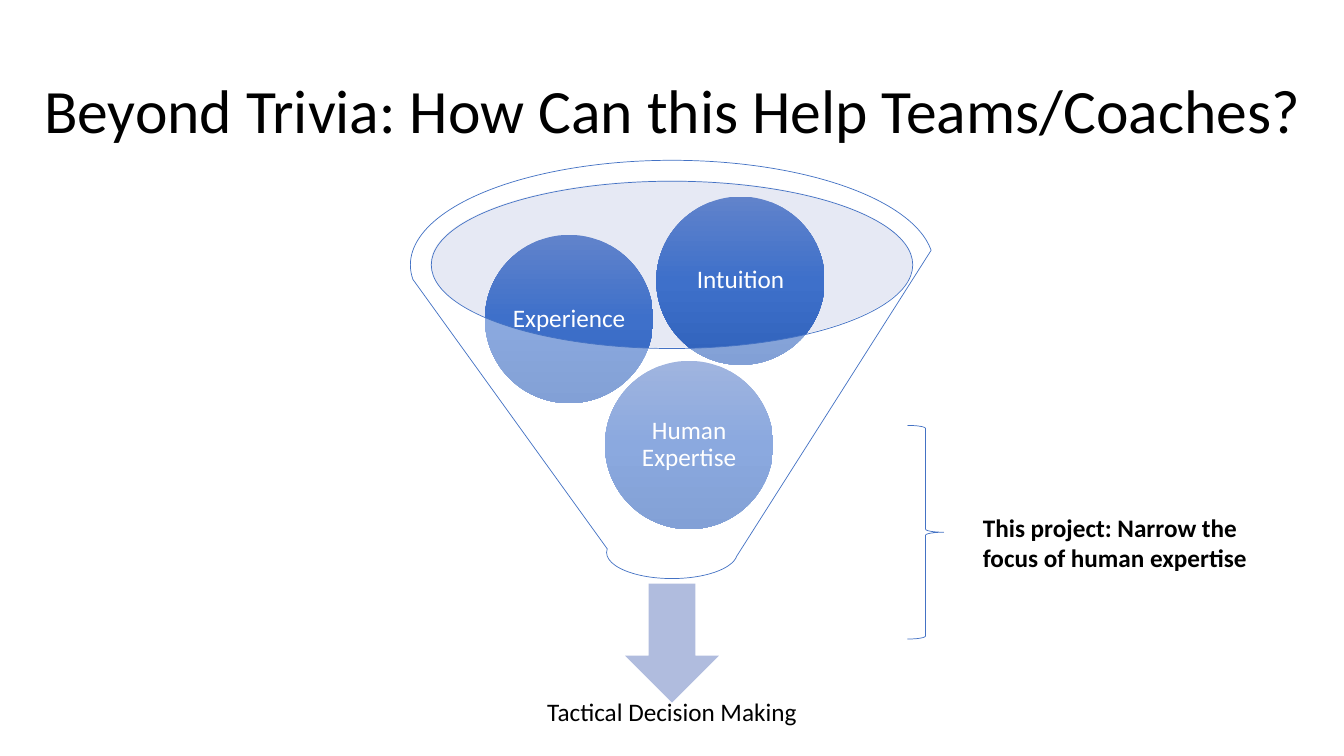
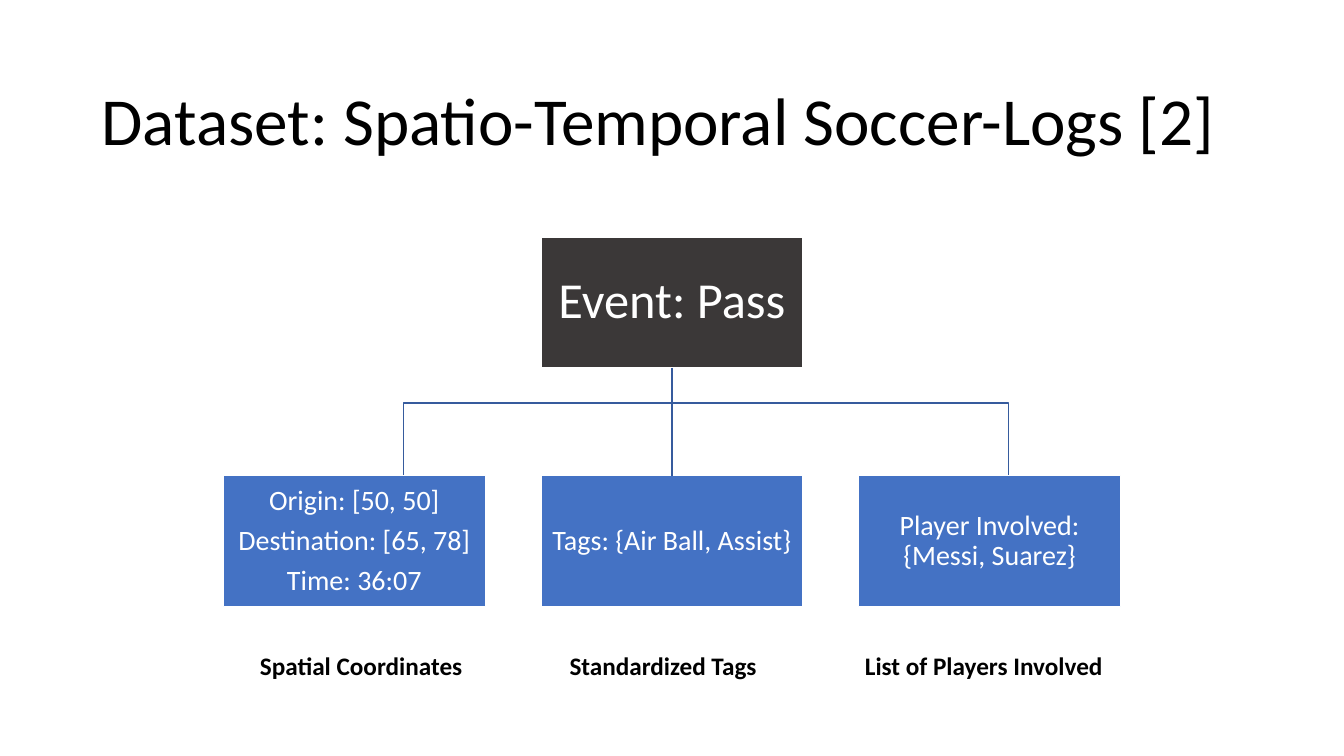
from copy import deepcopy
from dataclasses import dataclass
from typing import NamedTuple, Optional

from lxml import etree
from pptx import Presentation, slide as sl, util as u
from pptx.dml import color as dml
from pptx.enum import shapes, text
from pptx.oxml import ns

SLIDE_WIDTH, SLIDE_HEIGHT = 13.33, 7.5
FONT = "Calibri"
BLACK, WHITE = "000000", "FFFFFF"
BLUE, CHARCOAL, TREE_BLUE = "4472C4", "3B3838", "365B9D"
RIM, ARROW = "C1C9E4", "B0BCDE"
BALL_STOPS = ((0, "6183CB"), (0.5, "3E70CA"), (1, "3062BB"))
PRESET = shapes.MSO_SHAPE
MIDDLE, TOP = text.MSO_ANCHOR.MIDDLE, text.MSO_ANCHOR.TOP
LEFT, CENTER = text.PP_ALIGN.LEFT, text.PP_ALIGN.CENTER


class Box(NamedTuple):
    left: float
    top: float
    width: float
    height: float

    def inches(self) -> list:
        return [u.Inches(length) for length in self]


@dataclass(frozen=True)
class TextStyle:
    size: int
    color: str = BLACK
    bold: bool = False
    align: text.PP_ALIGN = LEFT
    anchor: text.MSO_ANCHOR = MIDDLE
    line_spacing: float = 0.9
    after: float = 0
    inset: Optional[float] = None
    grow: bool = False


@dataclass(frozen=True)
class Ball:
    caption: str
    left: float
    top: float


@dataclass(frozen=True)
class Branch:
    lines: tuple
    caption: str
    caption_left: float
    caption_width: float


CAPTION = TextStyle(18, bold=True, anchor=TOP, line_spacing=1, grow=True)
BALL_TEXT = TextStyle(18, WHITE, align=CENTER, inset=0)
OUTCOME = TextStyle(18, align=CENTER, inset=0.14)
EVENT = TextStyle(36, WHITE, align=CENTER, inset=0.03)
BRANCH = TextStyle(20, WHITE, align=CENTER, after=7, inset=0.01)

BALLS = (
    Ball("Human Expertise", 6, 3.58),
    Ball("Experience", 4.81, 2.33),
    Ball("Intuition", 6.51, 1.95),
)
BRANCHES = (
    Branch(("Origin: [50, 50]", "Destination: [65, 78]", "Time: 36:07"),
           "Spatial Coordinates", 2.48, 2.22),
    Branch(("Tags: {Air Ball, Assist}",), "Standardized Tags", 5.55, 2.22),
    Branch(("Player Involved: {Messi, Suarez}",),
           "List of Players Involved", 8.48, 2.63),
)


def rgb(value: str) -> dml.RGBColor:
    return dml.RGBColor.from_string(value)


def write(frame, lines: tuple, style: TextStyle) -> None:
    frame.word_wrap = True
    frame.vertical_anchor = style.anchor
    if style.grow:
        frame.auto_size = text.MSO_AUTO_SIZE.SHAPE_TO_FIT_TEXT
    if style.inset is not None:
        frame.margin_left = frame.margin_right = u.Inches(style.inset)
        frame.margin_top = frame.margin_bottom = u.Inches(style.inset)
    for index, line in enumerate(lines):
        paragraph = frame.add_paragraph() if index else frame.paragraphs[0]
        paragraph.text = line
        paragraph.alignment = style.align
        paragraph.line_spacing = style.line_spacing
        paragraph.space_after = u.Pt(style.after)
        font = paragraph.font
        font.name, font.size, font.bold = FONT, u.Pt(style.size), style.bold
        font.color.rgb = rgb(style.color)


def add_text(slide: sl.Slide, box: Box, line: str, style: TextStyle) -> None:
    write(slide.shapes.add_textbox(*box.inches()).text_frame, (line,), style)


def add_title(slide: sl.Slide, box: Box, line: str, size: int) -> None:
    add_text(slide, box, line, TextStyle(size))


def set_line(shape, color: str, weight: float) -> None:
    shape.line.color.rgb = rgb(color)
    shape.line.width = u.Pt(weight)


def add_preset(slide: sl.Slide, preset: shapes.MSO_SHAPE, box: Box,
               fill: Optional[str] = None, opacity: int = 100,
               line: Optional[str] = None, weight: float = 0.5):
    shape = slide.shapes.add_shape(preset, *box.inches())
    shape.shadow.inherit = False
    if fill:
        shape.fill.solid()
        shape.fill.fore_color.rgb = rgb(fill)
        if opacity < 100:
            tint = shape.fill._xPr.find(f".//{ns.qn('a:srgbClr')}")
            etree.SubElement(tint, ns.qn("a:alpha"), val=str(opacity * 1000))
    else:
        shape.fill.background()
    if line:
        set_line(shape, line, weight)
    else:
        shape.line.fill.background()
    return shape


def add_ball(slide: sl.Slide, ball: Ball) -> None:
    shape = add_preset(slide, PRESET.OVAL, Box(ball.left, ball.top, 1.67, 1.67))
    shape.fill.gradient()
    shape.fill.gradient_angle = 270
    stop_list = shape.fill._xPr.find(f".//{ns.qn('a:gsLst')}")
    stop_list.append(deepcopy(stop_list[-1]))
    for stop, (position, value) in zip(shape.fill.gradient_stops, BALL_STOPS):
        stop.position = position
        stop.color.rgb = rgb(value)
    write(shape.text_frame, (ball.caption,), BALL_TEXT)


def add_elbow(slide: sl.Slide, start: tuple, bend_y: float, end: tuple) -> None:
    corners = ((start[0], bend_y), (end[0], bend_y), end)
    builder = slide.shapes.build_freeform(*start, scale=u.Inches(1))
    builder.add_line_segments(corners, close=False)
    elbow = builder.convert_to_shape()
    elbow.shadow.inherit = False
    elbow.fill.background()
    set_line(elbow, TREE_BLUE, 1)


def join(slide: sl.Slide, parent, child) -> None:
    trunk = slide.shapes.add_connector(shapes.MSO_CONNECTOR.STRAIGHT, 0, 0, 0, 0)
    trunk.begin_connect(parent, 2)
    trunk.end_connect(child, 0)
    set_line(trunk, TREE_BLUE, 1)
    etree.SubElement(trunk._element.spPr, ns.qn("a:effectLst"))


def build_funnel(slide: sl.Slide) -> None:
    add_title(slide, Box(0.34, 0.4, 12.99, 1.45),
              "Beyond Trivia: How Can this Help Teams/Coaches?", 44)
    add_preset(slide, PRESET.OVAL, Box(4.27, 1.79, 4.78, 1.66), RIM, 40)
    add_preset(slide, PRESET.DOWN_ARROW, Box(6.2, 5.79, 0.93, 1.18), ARROW)
    add_text(slide, Box(5, 6.83, 3.33, 0.5), "Tactical Decision Making", OUTCOME)
    for ball in BALLS:
        add_ball(slide, ball)
    add_preset(slide, PRESET.FUNNEL, Box(4.07, 1.59, 5.19, 4.15), WHITE, 40, BLUE)
    add_preset(slide, PRESET.RIGHT_BRACE, Box(9, 4.22, 0.36, 2.12), line=BLUE)
    add_text(slide, Box(9.65, 5.03, 2.91, 0.71),
             "This project: Narrow the focus of human expertise", CAPTION)


def build_event_tree(slide: sl.Slide) -> None:
    add_title(slide, Box(0.91, 0.61, 11.5, 1.24),
              "Dataset: Spatio-Temporal Soccer-Logs [2]", 48)
    width, height, gap = 2.6, 1.3, 0.55
    event_top, branch_top, bus_y = 2.35, 4.72, 4.45
    center, pitch = SLIDE_WIDTH / 2, width + gap
    event_left = center - width / 2
    for side in (1, -1):
        add_elbow(slide, (center, event_top + height), bus_y,
                  (center + side * pitch, branch_top))
    event = add_preset(slide, PRESET.RECTANGLE,
                       Box(event_left, event_top, width, height),
                       CHARCOAL, line=WHITE, weight=1)
    write(event.text_frame, ("Event: Pass",), EVENT)
    for offset, branch in enumerate(BRANCHES, start=-1):
        node = add_preset(slide, PRESET.RECTANGLE,
                          Box(event_left + offset * pitch, branch_top, width, height),
                          BLUE, line=WHITE, weight=1)
        write(node.text_frame, branch.lines, BRANCH)
        if offset == 0:
            join(slide, event, node)
        add_text(slide, Box(branch.caption_left, 6.4, branch.caption_width, 0.4),
                 branch.caption, CAPTION)


def main() -> None:
    deck = Presentation()
    deck.slide_width = u.Inches(SLIDE_WIDTH)
    deck.slide_height = u.Inches(SLIDE_HEIGHT)
    for build in (build_funnel, build_event_tree):
        build(deck.slides.add_slide(deck.slide_layouts[6]))
    deck.save("out.pptx")


if __name__ == "__main__":
    main()
